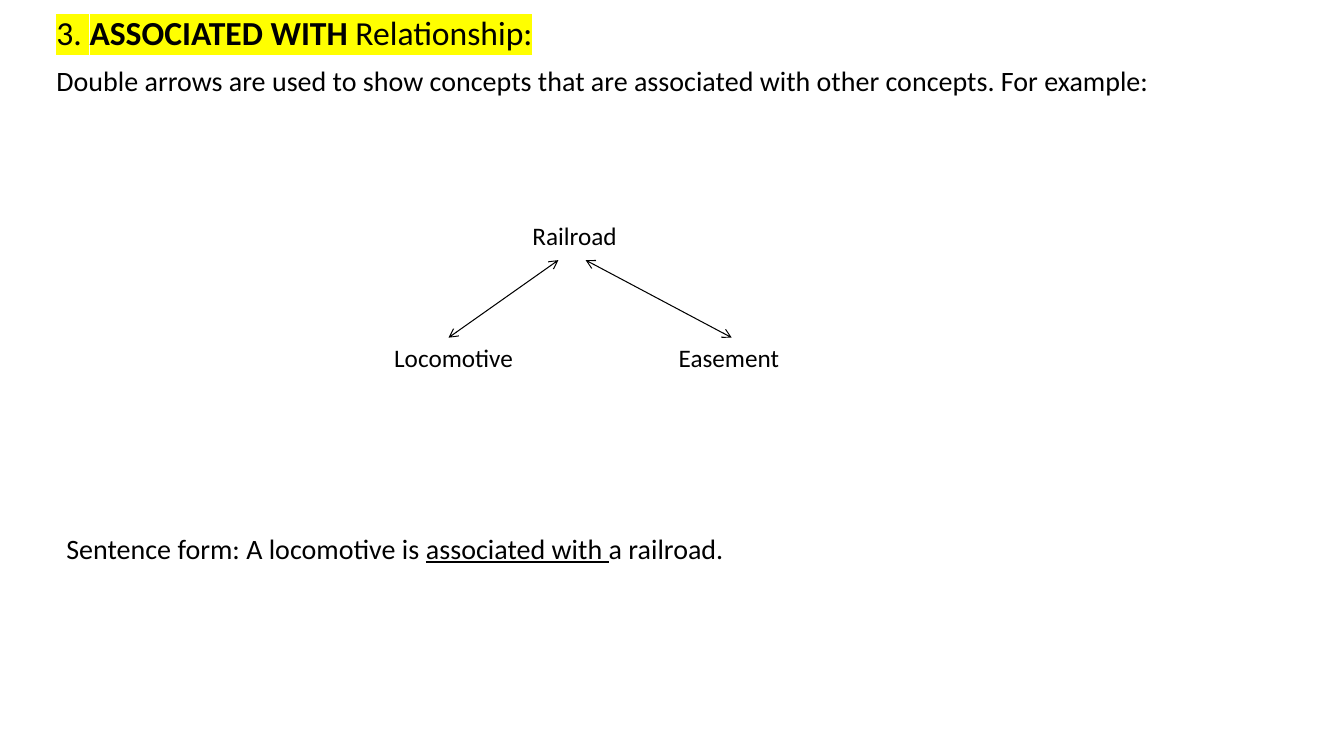
from dataclasses import dataclass

from lxml.etree import SubElement
from pptx import Presentation
from pptx.dml.color import RGBColor
from pptx.enum.shapes import MSO_CONNECTOR
from pptx.enum.text import PP_ALIGN
from pptx.oxml.ns import qn
from pptx.util import Pt


@dataclass(frozen=True)
class Theme:
    font: str = "Calibri"
    ink: str = "000000"
    mark: str = "FFFF00"
    head: int = 24
    body: int = 20
    label: int = 18
    rule: float = 0.75


def write(para, text, theme, size, bold=False, under=False, mark=None):
    run = para.add_run()
    run.text = text
    font = run.font
    font.size = Pt(size)
    font.bold = bold
    font.underline = under
    font.color.rgb = RGBColor.from_string(theme.ink)
    if mark:
        props = run._r.get_or_add_rPr()
        light = SubElement(props, qn("a:highlight"))
        SubElement(light, qn("a:srgbClr"), val=mark)
    font.name = theme.font


class Board:
    def __init__(self, slide, theme):
        self.slide = slide
        self.theme = theme

    def text(self, left, top, width, height, paras, align=PP_ALIGN.LEFT,
             inset=7.2, lead=None, gap=0):
        box = self.slide.shapes.add_textbox(
            Pt(left), Pt(top), Pt(width), Pt(height))
        frame = box.text_frame
        frame.word_wrap = True
        frame.margin_left = frame.margin_right = Pt(inset)
        for index, runs in enumerate(paras):
            para = frame.add_paragraph() if index else frame.paragraphs[0]
            para.alignment = align
            if lead:
                para.line_spacing = lead
            if index:
                para.space_before = Pt(gap)
            for words, style in runs:
                write(para, words, self.theme, **style)

    def label(self, left, top, width, words):
        style = {"size": self.theme.label}
        self.text(left, top, width, 29, [[(words, style)]], PP_ALIGN.CENTER)

    def arrow(self, start, end):
        line = self.slide.shapes.add_connector(
            MSO_CONNECTOR.STRAIGHT, *map(Pt, start + end))
        line.line.width = Pt(self.theme.rule)
        line.line.color.rgb = RGBColor.from_string(self.theme.ink)
        edge = line.line._get_or_add_ln()
        for tip in ("a:headEnd", "a:tailEnd"):
            SubElement(edge, qn(tip), type="arrow")
        SubElement(line._element.spPr, qn("a:effectLst"))


def main():
    deck = Presentation()
    deck.slide_width, deck.slide_height = Pt(960), Pt(540)
    theme = Theme()
    board = Board(deck.slides.add_slide(deck.slide_layouts[6]), theme)

    head = {"size": theme.head, "mark": theme.mark}
    body = {"size": theme.body}
    title = [("3. ", head), ("ASSOCIATED WITH ", {**head, "bold": True}),
             ("Relationship:", head)]
    intro = [("Double arrows are used to show concepts that are associated "
              "with other concepts. For example:", body)]
    board.text(40.3, 8.6, 865.5, 147, [title, intro],
               inset=0, lead=0.9, gap=10)

    board.text(40.3, 375.8, 636.5, 31.5, [[
        ("Sentence form: A locomotive is ", body),
        ("associated with ", {**body, "under": True}),
        ("a railroad.", body)]])

    board.label(359.3, 154.1, 102.2, "Railroad")
    for left, width, words, start, end in (
            (270, 108, "Locomotive", 398.9, 320.4),
            (471.6, 102.2, "Easement ", 418.3, 522.7)):
        board.label(left, 241.2, width, words)
        board.arrow((start, 185.8), (end, 241.2))

    deck.save("out.pptx")


if __name__ == "__main__":
    main()
